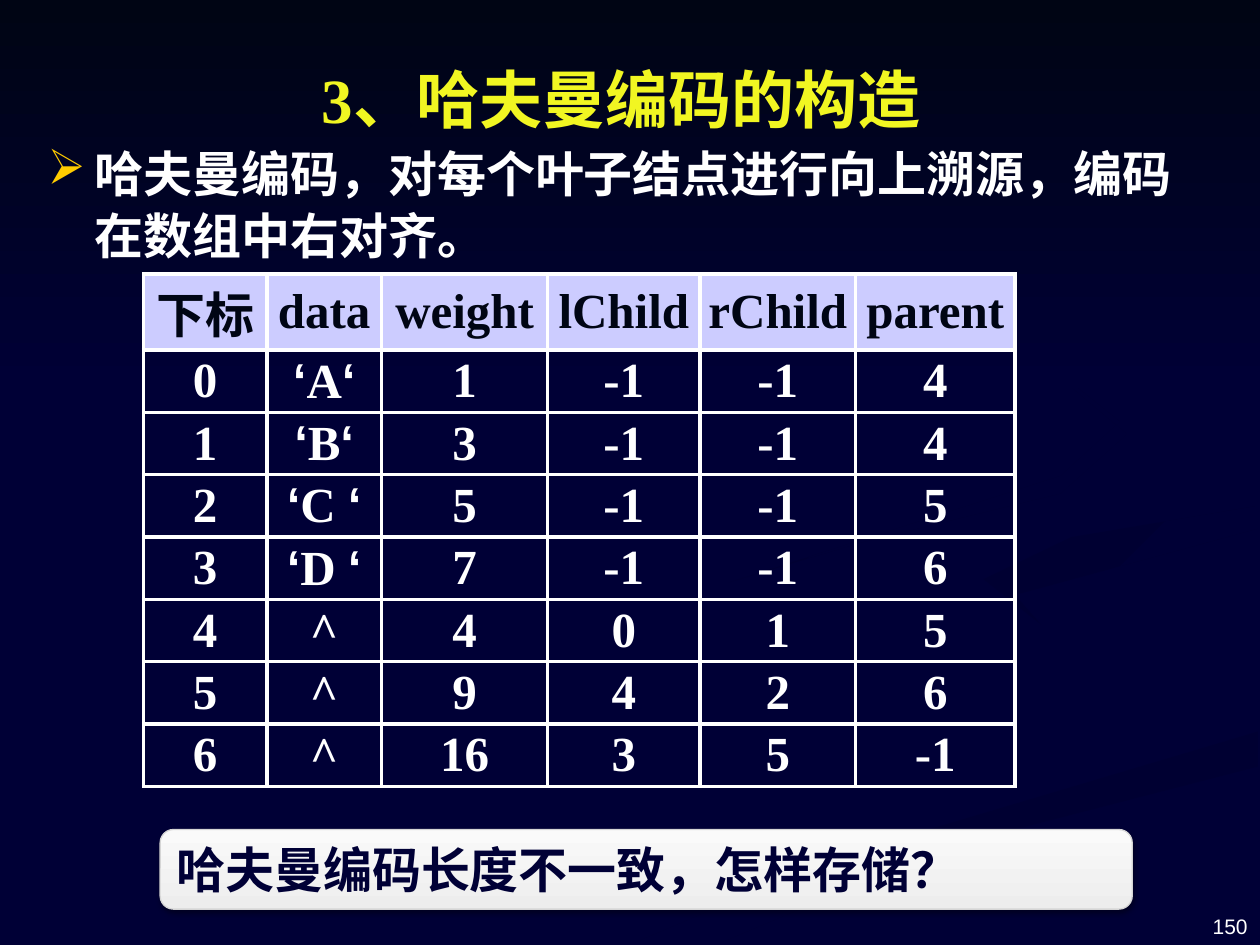
from lxml import etree
from pptx import Presentation
from pptx.dml.color import RGBColor
from pptx.enum import shapes, text
from pptx.oxml.ns import qn
from pptx.util import Pt

SERIF, SANS = "Times New Roman", "Arial"
NAVY, WHITE, INK = "000036", "FFFFFF", "000514"

SWOOSHES = [
    ([(362, 539), (411, 539), (541, 484), (719, 438), (719, 418), (477, 490)], 90),
    ([(562, 331), (595, 357), (580, 340), (719, 302), (719, 289), (612, 307)], 45),
    ([(492, 310), (606, 282), (644, 248), (549, 168), (640, 241), (606, 272), (416, 333)], 45),
]

HEADER = "下标 data weight lChild rChild parent".split()
DATA = ["‘A‘", "‘B‘", "‘C ‘", "‘D ‘", "^", "^", "^"]
WEIGHT = "1 3 5 7 4 9 16".split()
L_CHILD = "-1 -1 -1 -1 0 4 3".split()
R_CHILD = "-1 -1 -1 -1 1 2 5".split()
PARENT = "4 4 5 6 5 6 -1".split()
COLUMN_WIDTHS = [70.5, 65.5, 95, 87, 89, 91]


def rgb(value):
    """Turn a hex string into a colour."""
    return RGBColor.from_string(value)


def sub(parent, tag, **attrs):
    """Append a drawing element with the given attributes."""
    return etree.SubElement(parent, qn(tag), {k: str(v) for k, v in attrs.items()})


def add_run(p, words, size, color, font=SERIF, bold=True):
    """Add one formatted run to a paragraph."""
    r = p.add_run()
    r.text = words
    r.font.name, r.font.size, r.font.bold = font, Pt(size), bold
    r.font.color.rgb = rgb(color)


def points(box):
    """Turn a box in points into lengths."""
    return [Pt(v) for v in box]


def gradient(fill, start, end, angle):
    """Fill with two colours along a clockwise angle."""
    fill.gradient()
    fill.gradient_angle = (360 - angle) % 360
    for stop, color in zip(fill.gradient_stops, (start, end)):
        stop.color.rgb = rgb(color)


def add_backdrop(s, box):
    """Paint the navy background, its dark swooshes and the top shade."""
    s.background.fill.solid()
    s.background.fill.fore_color.rgb = rgb(NAVY)
    parts = []
    for outline, angle in SWOOSHES:
        builder = s.shapes.build_freeform(*outline[0], scale=Pt(1))
        builder.add_line_segments(outline[1:], close=True)
        parts.append((builder.convert_to_shape(), "000032", angle))
    shade = s.shapes.add_shape(shapes.MSO_SHAPE.RECTANGLE, *points(box))
    parts.append((shade, INK, 90))
    for sp, color, angle in parts:
        sp.shadow.inherit = False
        sp.line.fill.background()
        gradient(sp.fill, color, NAVY, angle)


def add_title(s, box, words):
    """Format the title placeholder and bring it to the front."""
    sp = s.shapes.title
    s.shapes._spTree.append(sp._element)
    sp.left, sp.top, sp.width, sp.height = points(box)
    tf = sp.text_frame
    tf.vertical_anchor = text.MSO_ANCHOR.MIDDLE
    p = tf.paragraphs[0]
    p.alignment = text.PP_ALIGN.CENTER
    add_run(p, words, 36, "F1F622")


def add_textbox(s, box):
    """Add a wrapping text box and return its text frame."""
    tf = s.shapes.add_textbox(*points(box)).text_frame
    tf.word_wrap = True
    return tf


def add_bullet(s, box, words):
    """Add the statement with its arrow bullet."""
    p = add_textbox(s, box).paragraphs[0]
    pPr = p._p.get_or_add_pPr()
    pPr.set("marL", str(Pt(27)))
    pPr.set("indent", str(-Pt(27)))
    sub(sub(pPr, "a:buClr"), "a:srgbClr", val="FFCC00")
    sub(pPr, "a:buChar", char="➢")
    p.line_spacing = 1.05
    add_run(p, words, 28, WHITE)


def border_cell(cell):
    """Draw white borders on the four sides of a cell."""
    tcPr = cell._tc.get_or_add_tcPr()
    for i, side in enumerate(("a:lnL", "a:lnR", "a:lnT", "a:lnB")):
        ln = sub(tcPr, side, w=Pt(2.25))
        sub(sub(ln, "a:solidFill"), "a:srgbClr", val=WHITE)
        tcPr.insert(i, ln)


def fill_cell(cell, words, is_header):
    """Write and format one table cell."""
    cell.margin_left = cell.margin_right = Pt(4)
    cell.margin_top = cell.margin_bottom = Pt(1)
    cell.vertical_anchor = text.MSO_ANCHOR.MIDDLE
    if is_header:
        cell.fill.solid()
        cell.fill.fore_color.rgb = rgb("CCCCFF")
    else:
        cell.fill.background()
    border_cell(cell)
    p = cell.text_frame.paragraphs[0]
    p.alignment = text.PP_ALIGN.CENTER
    color = INK if is_header else WHITE
    if words.startswith("‘"):
        for part, font in (("‘", SANS), (words[1:-1], SERIF), ("‘", SANS)):
            add_run(p, part, 28, color, font)
    else:
        add_run(p, words, 28, color)


def add_node_table(s, left, top):
    """Add the table of Huffman tree nodes."""
    index = [str(i) for i in range(len(DATA))]
    rows = [HEADER, *zip(index, DATA, WEIGHT, L_CHILD, R_CHILD, PARENT)]
    heights = [43.5] + [34] * len(DATA)
    box = (left, top, sum(COLUMN_WIDTHS), sum(heights))
    table = s.shapes.add_table(len(rows), len(HEADER), *points(box)).table
    table.first_row = table.horz_banding = False
    for column, width in zip(table.columns, COLUMN_WIDTHS):
        column.width = Pt(width)
    for i, (row, height) in enumerate(zip(rows, heights)):
        table.rows[i].height = Pt(height)
        for j, words in enumerate(row):
            fill_cell(table.cell(i, j), words, i == 0)


def add_question(s, box, words):
    """Add the rounded question panel with a soft shadow."""
    sp = s.shapes.add_shape(shapes.MSO_SHAPE.ROUNDED_RECTANGLE, *points(box))
    gradient(sp.fill, "EDEDED", "FAFAFA", 270)
    sp.line.color.rgb, sp.line.width = rgb("D5D5D5"), Pt(0.75)
    sp.shadow.inherit = False
    shadow = sub(sp._element.spPr.find(qn("a:effectLst")), "a:outerShdw",
                 blurRad=Pt(3.1), dist=Pt(1.6), dir=5400000, rotWithShape=0)
    sub(sub(shadow, "a:srgbClr", val="000000"), "a:alpha", val=38000)
    tf = sp.text_frame
    tf.word_wrap = True
    tf.auto_size = text.MSO_AUTO_SIZE.SHAPE_TO_FIT_TEXT
    tf.vertical_anchor = text.MSO_ANCHOR.TOP
    p = tf.paragraphs[0]
    p.alignment = text.PP_ALIGN.LEFT
    add_run(p, words, 28, NAVY)


def add_page_number(s, box, number):
    """Add the page number in the bottom corner."""
    tf = add_textbox(s, box)
    tf.vertical_anchor = text.MSO_ANCHOR.BOTTOM
    p = tf.paragraphs[0]
    p.alignment = text.PP_ALIGN.RIGHT
    add_run(p, number, 12, WHITE, SANS, False)


def main():
    """Build the slide and save it."""
    prs = Presentation()
    prs.slide_width, prs.slide_height = Pt(720), Pt(540)
    s = prs.slides.add_slide(prs.slide_layouts[5])
    add_backdrop(s, (0, 0, 720, 222))
    add_page_number(s, (552, 502.5, 168, 37.5), "150")
    add_title(s, (31, 17.5, 648, 77), "3、哈夫曼编码的构造")
    add_bullet(s, (20, 77, 683.5, 79), "哈夫曼编码，对每个叶子结点进行向上溯源，编码在数组中右对齐。")
    add_node_table(s, 82, 156.5)
    add_question(s, (91.5, 474, 555.5, 45.5), "哈夫曼编码长度不一致，怎样存储？")
    prs.save("out.pptx")


if __name__ == "__main__":
    main()
